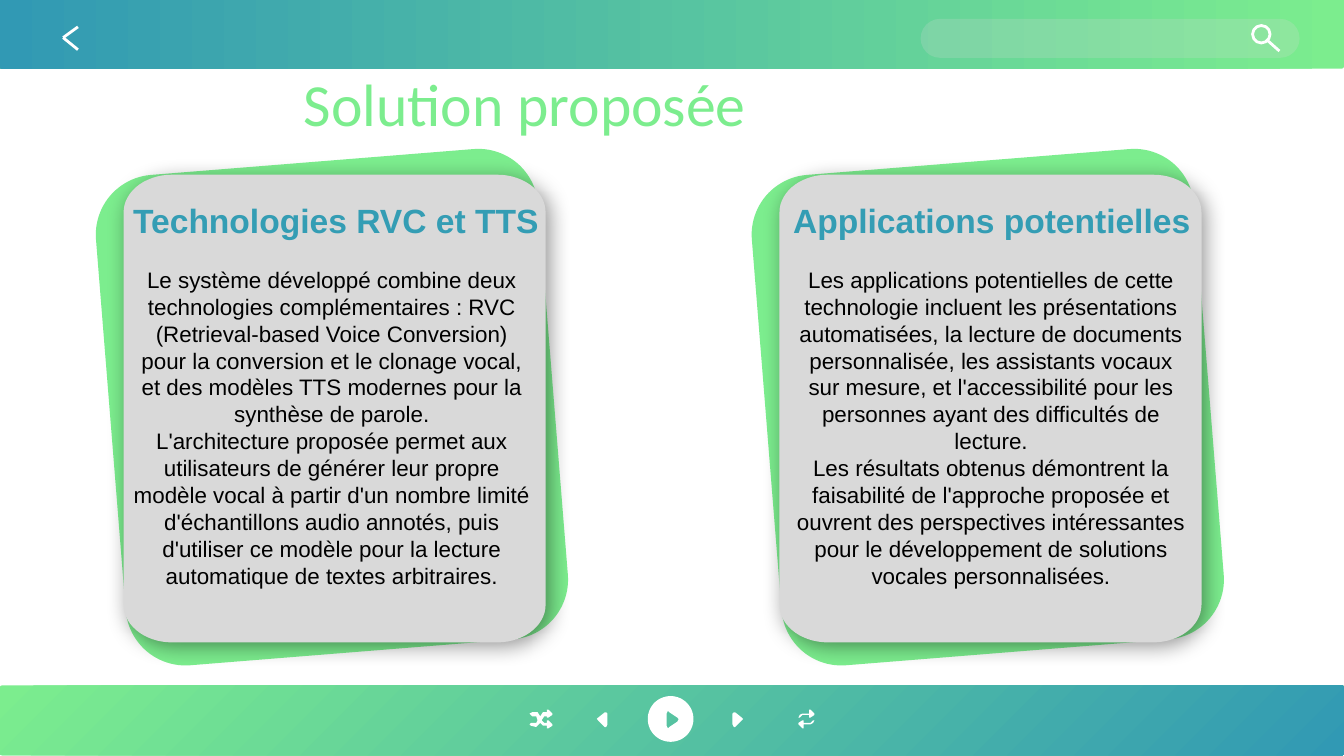
import math
from lxml import etree
from pptx import Presentation
from pptx.dml.color import RGBColor
from pptx.enum import shapes, text
from pptx.oxml import ns
from pptx.util import Inches, Pt

GREEN = RGBColor(0x7C, 0xED, 0x8E)
BLUE = RGBColor(0x31, 0x99, 0xB4)
TEAL = RGBColor(0x34, 0x9D, 0xB4)
GREY = RGBColor(0xD9, 0xD9, 0xD9)
WHITE = RGBColor(0xFF, 0xFF, 0xFF)
BLACK = RGBColor(0, 0, 0)
KIND = shapes.MSO_SHAPE

LOOP = [(5.94, 5.34), (5.95, 5.32), (5.97, 5.31), (6.02, 5.31), (6.02, 5.28),
        (6.03, 5.28), (6.06, 5.31), (6.06, 5.32), (6.03, 5.34), (6.02, 5.34),
        (6.02, 5.32), (5.97, 5.32), (5.95, 5.34)]
MIX = [(4.07, 5.28), (4.07, 5.3), (4.04, 5.3), (4.02, 5.33), (4, 5.3),
       (3.98, 5.3), (3.96, 5.3), (3.94, 5.31), (3.96, 5.33), (3.99, 5.33),
       (4, 5.36), (3.99, 5.38), (3.95, 5.38), (3.94, 5.39), (3.95, 5.4),
       (3.99, 5.41), (4.02, 5.38), (4.04, 5.4), (4.07, 5.4), (4.07, 5.42),
       (4.08, 5.42), (4.11, 5.4), (4.11, 5.39), (4.08, 5.36), (4.07, 5.36),
       (4.07, 5.38), (4.05, 5.38), (4.03, 5.36), (4.05, 5.33), (4.07, 5.33),
       (4.07, 5.34), (4.08, 5.34), (4.11, 5.32), (4.11, 5.31), (4.08, 5.28)]
NEXT = [(5.46, 5.3), (5.45, 5.31), (5.45, 5.39), (5.46, 5.41), (5.47, 5.41),
        (5.52, 5.36), (5.53, 5.35), (5.52, 5.34), (5.47, 5.3)]
PLAY = [(4.97, 5.29), (4.98, 5.3), (5.04, 5.34), (5.05, 5.35), (5.04, 5.37),
        (4.98, 5.41), (4.97, 5.42), (4.96, 5.4), (4.96, 5.31)]

CARDS = [
    (0.82, 0.99, 2.96, "Technologies RVC et TTS", [
        "Le système développé combine deux technologies complémentaires : RVC "
        "(Retrieval-based Voice Conversion) pour la conversion et le clonage "
        "vocal, et des modèles TTS modernes pour la synthèse de parole.",
        "L'architecture proposée permet aux utilisateurs de générer leur propre "
        "modèle vocal à partir d'un nombre limité d'échantillons audio annotés, "
        "puis d'utiliser ce modèle pour la lecture automatique de textes "
        "arbitraires."]),
    (5.7, 5.91, 2.93, "Applications potentielles", [
        "Les applications potentielles de cette technologie incluent les "
        "présentations automatisées, la lecture de documents personnalisée, les "
        "assistants vocaux sur mesure, et l'accessibilité pour les personnes "
        "ayant des difficultés de lecture.",
        "Les résultats obtenus démontrent la faisabilité de l'approche proposée "
        "et ouvrent des perspectives intéressantes pour le développement de "
        "solutions vocales personnalisées."]),
]


def box(*sides):
    return [Inches(side) for side in sides]


def paint(shape, color):
    shape.shadow.inherit = False
    shape.fill.solid()
    shape.fill.fore_color.rgb = color
    shape.line.fill.background()


def round_box(slide, sides, adj, color):
    shape = slide.shapes.add_shape(KIND.ROUNDED_RECTANGLE, *box(*sides))
    shape.adjustments[0] = adj
    paint(shape, color)
    return shape


def bar(slide, top, angle):
    shape = round_box(slide, (0, top, 10, 0.52), 0.03, GREEN)
    shape.fill.gradient()
    shape.fill.gradient_angle = angle
    for stop, color in zip(shape.fill.gradient_stops, (GREEN, BLUE)):
        stop.color.rgb = color


def stroke(slide, *ends):
    line = slide.shapes.add_connector(shapes.MSO_CONNECTOR.STRAIGHT, *box(*ends))
    line.line.color.rgb = WHITE
    line.line.width = Pt(1.5)
    etree.SubElement(line._element.spPr, ns.qn("a:effectLst"))


def outline(slide, color, *loops):
    build = slide.shapes.build_freeform(*box(*loops[0][0]), scale=1.0)
    for loop in loops:
        points = [tuple(box(*point)) for point in loop]
        if loop is not loops[0]:
            build.move_to(*points[0])
        build.add_line_segments(points[1:], close=True)
    shape = build.convert_to_shape()
    paint(shape, color)
    return shape


def arc(mid_x, mid_y, rad_x, rad_y, start, sweep):
    steps = sweep // 6
    angles = [math.radians(start + sweep * i / steps) for i in range(steps + 1)]
    return [(mid_x + rad_x * math.cos(a), mid_y + rad_y * math.sin(a))
            for a in angles]


def panel(slide, left, top, width, height):
    rad_x, rad_y = 0.36, 0.28
    right, low = left + width - rad_x, top + height - rad_y
    left, top = left + rad_x, top + rad_y
    mids = [(right, low), (left, low), (left, top), (right, top)]
    edge = [point for i, mid in enumerate(mids)
            for point in arc(*mid, rad_x, rad_y, 90 * i, 90)]
    shape = outline(slide, GREY, edge)
    effects = shape._element.spPr.find(ns.qn("a:effectLst"))
    shade = etree.SubElement(effects, ns.qn("a:outerShdw"), blurRad=str(Pt(11)),
                             dist=str(Pt(3)), dir="2700000", algn="tl",
                             rotWithShape="0")
    tint = etree.SubElement(shade, ns.qn("a:srgbClr"), val="000000")
    etree.SubElement(tint, ns.qn("a:alpha"), val="40000")


def label(slide, sides, lines, size, color, bold=False):
    frame = slide.shapes.add_textbox(*box(*sides)).text_frame
    frame.word_wrap = True
    frame.margin_left = frame.margin_right = 0
    frame.text = "\n".join(lines)
    for para in frame.paragraphs:
        para.alignment = text.PP_ALIGN.CENTER
        font = para.runs[0].font
        font.name, font.size, font.bold = "Arial", Pt(size), bold
        font.color.rgb = color


def card(slide, left, inner, width, head, lines):
    back = round_box(slide, (left, 1.2, 3.3, 3.66), 0.135, GREEN)
    back.rotation = 355.4
    panel(slide, left + 0.1, 1.3, 3.14, 3.48)
    label(slide, (left + 0.12, 1.44, 3.12, 0.49), [head], 18, TEAL, True)
    label(slide, (inner, 1.93, width, 2.59), lines, 12, BLACK)


def search(slide):
    field = round_box(slide, (6.85, 0.14, 2.82, 0.29), 0.5, GREY)
    tint = field.fill._xPr.find(".//" + ns.qn("a:srgbClr"))
    etree.SubElement(tint, ns.qn("a:alpha"), val="21000")
    lens = slide.shapes.add_shape(KIND.OVAL, *box(9.32, 0.19, 0.13, 0.13))
    lens.shadow.inherit = False
    lens.fill.background()
    lens.line.color.rgb = WHITE
    lens.line.width = Pt(1.5)
    stroke(slide, 9.43, 0.3, 9.52, 0.38)


def player(slide):
    outline(slide, WHITE, LOOP)
    outline(slide, WHITE, [(12 - x, 10.7 - y) for x, y in LOOP])
    outline(slide, WHITE, MIX)
    outline(slide, WHITE, PLAY, arc(4.99, 5.35, 0.17, 0.17, 0, 360))
    outline(slide, WHITE, [(9.97 - x, y) for x, y in NEXT])
    outline(slide, WHITE, NEXT)


def title(slide, words):
    shape = slide.shapes.title
    shape.left, shape.top, shape.width, shape.height = box(2.16, 0.5, 5.68, 0.64)
    frame = shape.text_frame
    frame.text = words
    frame.margin_top = 0
    frame.margin_bottom = Inches(0.1)
    frame.vertical_anchor = text.MSO_ANCHOR.TOP
    para = frame.paragraphs[0]
    para.alignment = text.PP_ALIGN.LEFT
    font = para.runs[0].font
    font.name, font.size = "Calibri", Pt(32)
    font.color.rgb = GREEN


def main():
    deck = Presentation()
    deck.slide_width = Inches(10)
    deck.slide_height = deck.slide_width * 9 // 16
    slide = deck.slides.add_slide(deck.slide_layouts[5])
    bar(slide, -0.01, 180)
    search(slide)
    bar(slide, 5.1, 315)
    player(slide)
    for y in (0.2, 0.37):
        stroke(slide, 0.47, 0.28, 0.58, y)
    title(slide, "Solution proposée")
    for item in CARDS:
        card(slide, *item)
    deck.save("out.pptx")


if __name__ == "__main__":
    main()
